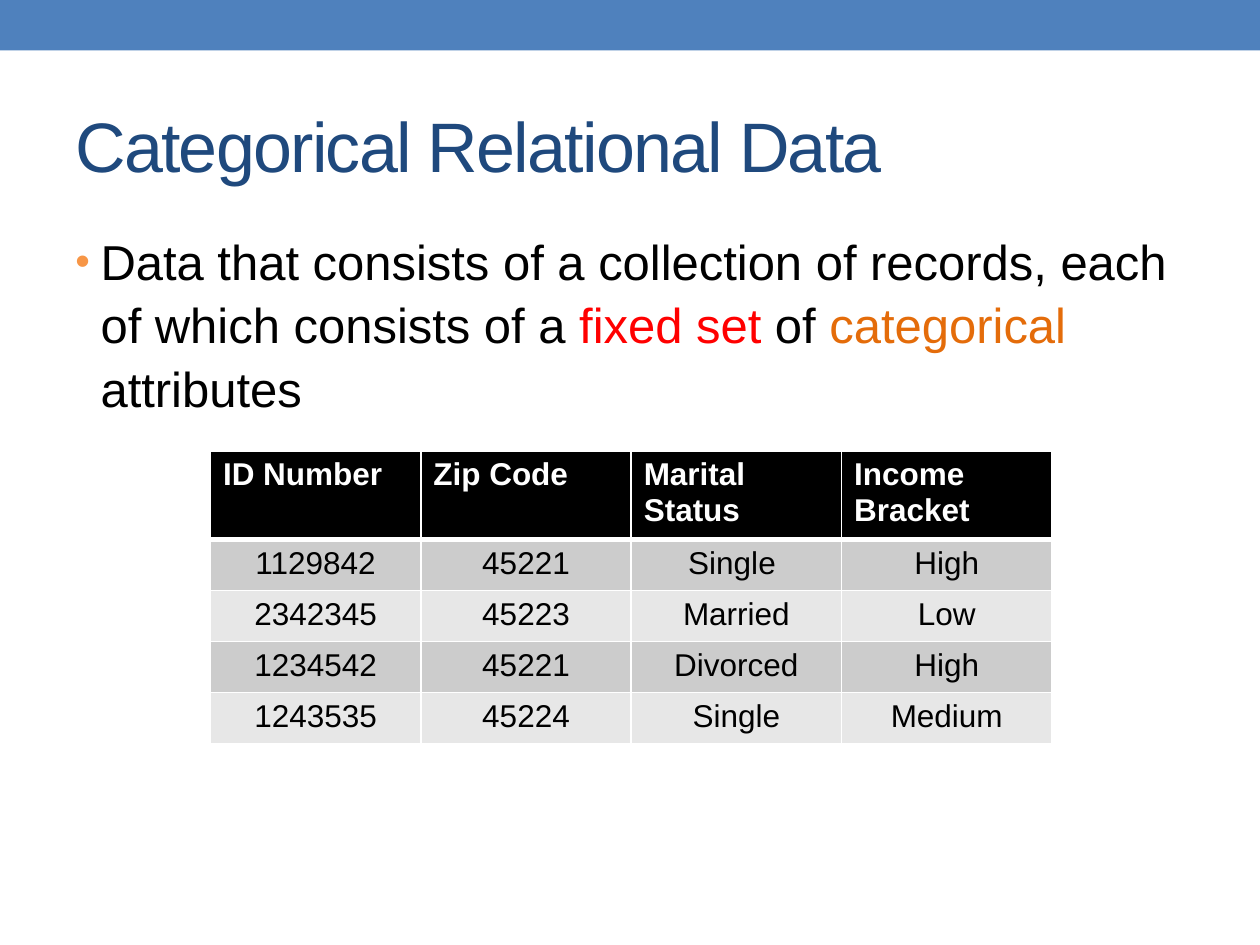
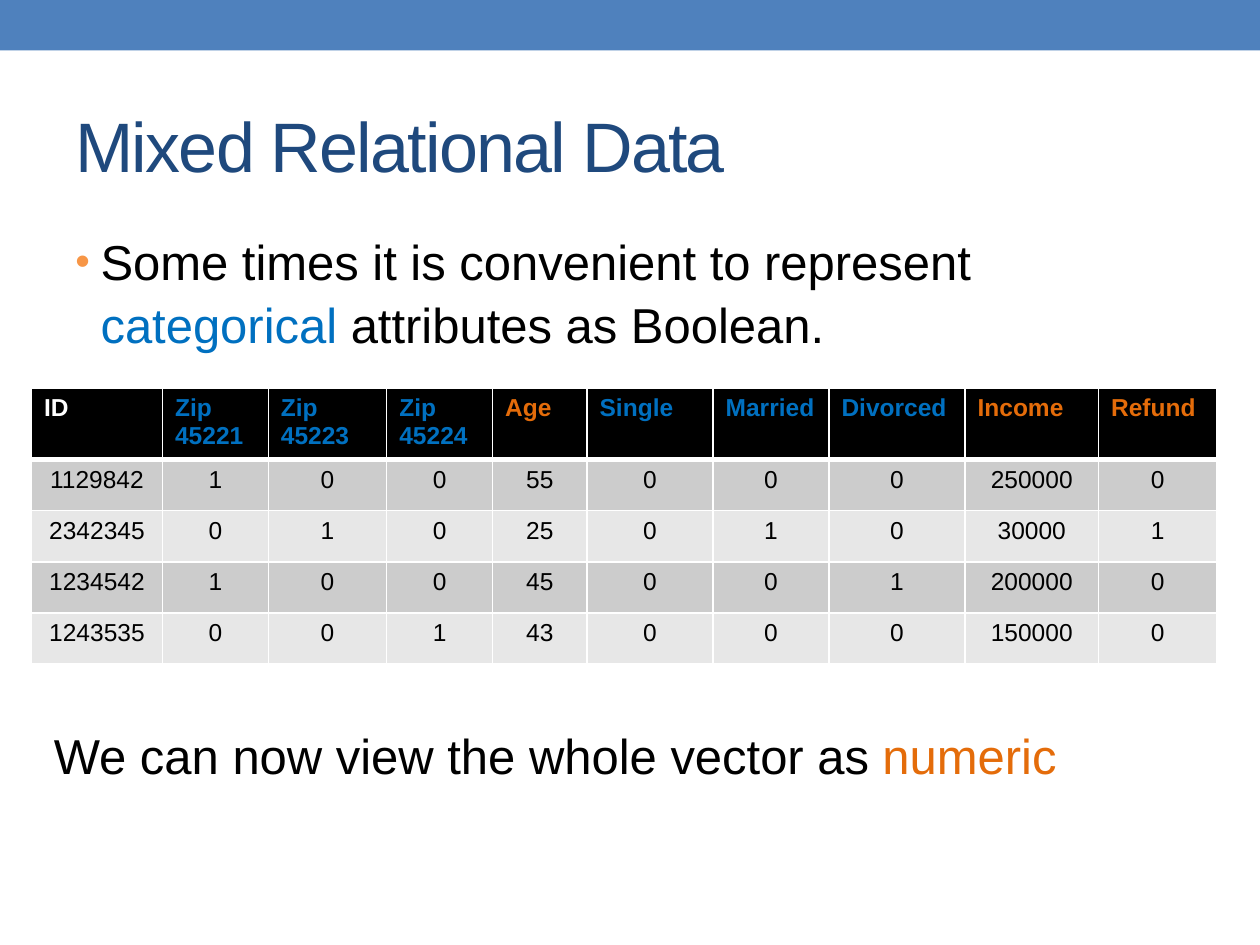
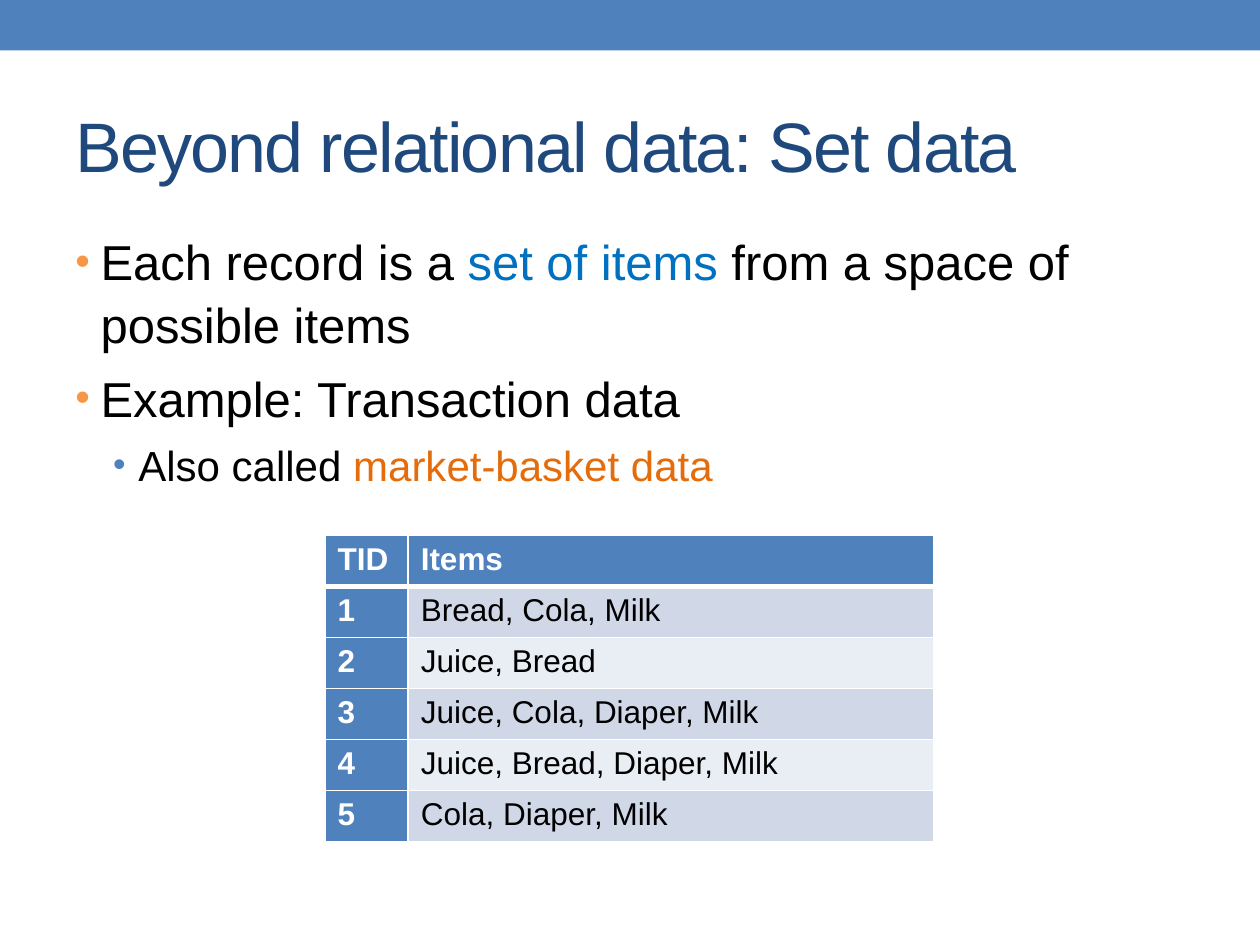
from lxml import etree
from pptx import Presentation
from pptx import util as u
from pptx.dml.color import RGBColor
from pptx.enum import shapes, text
from pptx.oxml import ns

# Shared look
FONT = "Arial"
BLACK = RGBColor(0, 0, 0)
WHITE = RGBColor(0xFF, 0xFF, 0xFF)
BLUE = RGBColor(0x4F, 0x81, 0xBD)
NAVY = RGBColor(0x1F, 0x49, 0x7D)
SKY = RGBColor(0x00, 0x70, 0xC0)
RED = RGBColor(0xFF, 0, 0)
ORANGE = RGBColor(0xE4, 0x6C, 0x0A)
LIGHT_ORANGE = RGBColor(0xF7, 0x96, 0x46)
GREY_BANDS = (RGBColor(0xCC, 0xCC, 0xCC), RGBColor(0xE7, 0xE7, 0xE7))
BLUE_BANDS = (RGBColor(0xD0, 0xD8, 0xE8), RGBColor(0xE9, 0xED, 0xF4))

LINE_SPACING = 1.08
# Per bullet level: text size, bullet colour, left indent in inches
LEVELS = ((28, LIGHT_ORANGE, 0.2), (24, BLUE, 0.5))


def add_element(parent, tag, **attributes):
    element = etree.SubElement(parent, ns.qn(tag))
    for name, value in attributes.items():
        element.set(name, str(value))
    return element


def write(paragraph, runs, size=28, color=BLACK, bold=False, align=None, tracking=None):
    """Add text to a paragraph; runs is a string or a list of (text, colour) pairs."""
    paragraph.alignment = align
    for words, run_color in [(runs, color)] if isinstance(runs, str) else runs:
        run = paragraph.add_run()
        run.text = words
        run.font.name = FONT
        run.font.size = u.Pt(size)
        run.font.bold = bold
        run.font.color.rgb = run_color
        if tracking:
            run.font._element.set("spc", str(tracking))


def add_text_frame(slide, left, top, width, height, anchor=text.MSO_ANCHOR.TOP):
    box = slide.shapes.add_textbox(*map(u.Inches, (left, top, width, height)))
    frame = box.text_frame
    frame.word_wrap = True
    frame.vertical_anchor = anchor
    frame.paragraphs[0].line_spacing = LINE_SPACING
    return frame


def add_titled_slide(presentation, title):
    slide = presentation.slides.add_slide(presentation.slide_layouts[6])
    band = slide.shapes.add_shape(shapes.MSO_SHAPE.RECTANGLE, 0, 0,
                                  presentation.slide_width, u.Inches(0.4))
    band.shadow.inherit = False
    band.fill.solid()
    band.fill.fore_color.rgb = BLUE
    band.line.fill.background()
    frame = add_text_frame(slide, 0.5, 0.58, 9, 1.08, text.MSO_ANCHOR.MIDDLE)
    write(frame.paragraphs[0], title, size=40, color=NAVY, tracking=-100)
    return slide


def add_bullets(slide, bullets):
    """Add the body text; bullets is a list of (level, runs) pairs."""
    frame = add_text_frame(slide, 0.5, 1.75, 9, 5.33)
    for index, (level, runs) in enumerate(bullets):
        size, bullet_color, indent = LEVELS[level]
        paragraph = frame.add_paragraph() if index else frame.paragraphs[0]
        paragraph.level = level
        paragraph.line_spacing = LINE_SPACING
        paragraph.space_before = u.Pt(0.2 * size if index else 0)
        properties = paragraph._p.get_or_add_pPr()
        properties.set("marL", str(u.Inches(indent)))
        properties.set("indent", str(u.Inches(-0.2)))
        add_element(add_element(properties, "a:buClr"), "a:srgbClr", val=bullet_color)
        add_element(properties, "a:buSzPct", val=85000)
        add_element(properties, "a:buFont", typeface=FONT)
        add_element(properties, "a:buChar", char="•")
        write(paragraph, runs, size=size)


def set_borders(cell, top, bottom):
    """Draw white borders; top and bottom are widths in points."""
    properties = cell._tc.get_or_add_tcPr()
    for side, width in (("L", 1), ("R", 1), ("T", top), ("B", bottom)):
        line = add_element(properties, f"a:ln{side}", w=u.Pt(width))
        add_element(add_element(line, "a:solidFill"), "a:srgbClr", val=WHITE)


def add_data_table(slide, left, top, columns, height, rows, size=18, head_fill=BLACK,
                   bands=GREY_BANDS, align=text.PP_ALIGN.CENTER, label_column=False):
    """Add a banded table; a cell is a string or a list of (text, colour) pairs."""
    frame = slide.shapes.add_table(len(rows), len(columns), *map(
        u.Inches, (left, top, sum(columns), height)))
    table = frame.table
    for column, width in zip(table.columns, columns):
        column.width = u.Inches(width)
    for row_index, row in enumerate(rows):
        for column_index, content in enumerate(row):
            cell = table.cell(row_index, column_index)
            is_head = row_index == 0
            is_strong = is_head or (label_column and column_index == 0)
            set_borders(cell, top=3 if row_index == 1 else 1, bottom=3 if is_head else 1)
            cell.fill.solid()
            cell.fill.fore_color.rgb = head_fill if is_strong else bands[(row_index - 1) % 2]
            write(cell.text_frame.paragraphs[0], content, size=size, bold=is_strong,
                  color=WHITE if is_strong else BLACK, align=None if is_head else align)


def build_categorical(presentation):
    slide = add_titled_slide(presentation, "Categorical Relational Data")
    add_bullets(slide, [(0, [
        ("Data that consists of a collection of records, each of which consists of a ", BLACK),
        ("fixed set ", RED), ("of ", BLACK), ("categorical ", ORANGE), ("attributes", BLACK)])])
    add_data_table(slide, 1.67, 3.58, [1.67] * 4, 2.03, [
        ("ID Number", "Zip Code", "Marital Status", "Income Bracket"),
        ("1129842", "45221", "Single ", "High"),
        ("2342345", "45223", "Married", "Low"),
        ("1234542", "45221", "Divorced", "High"),
        ("1243535", "45224", "Single", "Medium")])


def build_mixed(presentation):
    slide = add_titled_slide(presentation, "Mixed Relational Data")
    add_bullets(slide, [(0, [
        ("Some times it is convenient to represent ", BLACK),
        ("categorical ", SKY), ("attributes as Boolean.", BLACK)])])
    # Boolean columns have blue heads, numeric ones orange
    heads = [("ID", WHITE), ("Zip 45221", SKY), ("Zip 45223", SKY), ("Zip 45224", SKY),
             ("Age", ORANGE), ("Single", SKY), ("Married", SKY), ("Divorced", SKY),
             ("Income", ORANGE), ("Refund", ORANGE)]
    records = ["1129842 1 0 0 55 0 0 0 250000 0",
               "2342345 0 1 0 25 0 1 0 30000 1",
               "1234542 1 0 0 45 0 0 1 200000 0",
               "1243535 0 0 1 43 0 0 0 150000 0"]
    add_data_table(slide, 0.25, 3.08,
                   [1.04, 0.84, 0.94, 0.84, 0.75, 1, 0.92, 1.08, 1.06, 0.94], 2.03,
                   [[[head] for head in heads]] + [record.split() for record in records],
                   size=14)
    conclusion = add_text_frame(slide, 0.33, 5.67, 8.26, 0.57)
    write(conclusion.paragraphs[0],
          [("We can now view the whole vector as ", BLACK), ("numeric", ORANGE)])


def build_sets(presentation):
    slide = add_titled_slide(presentation, "Beyond relational data: Set data")
    add_bullets(slide, [
        (0, [("Each record is a ", BLACK), ("set of items", SKY),
             (" from a space of possible items", BLACK)]),
        (0, "Example: Transaction data"),
        (1, [("Also called ", BLACK), ("market-basket data", ORANGE)])])
    baskets = ["Bread, Cola, Milk", "Juice, Bread", "Juice, Cola, Diaper, Milk",
               "Juice, Bread, Diaper, Milk", "Cola, Diaper, Milk"]
    rows = [("TID", "Items")] + [(str(n), basket) for n, basket in enumerate(baskets, 1)]
    add_data_table(slide, 2.58, 4.25, [0.66, 4.17], 2.43, rows, head_fill=BLUE,
                   bands=BLUE_BANDS, align=None, label_column=True)


def main():
    presentation = Presentation()
    presentation.slide_width = u.Inches(10)
    presentation.slide_height = u.Inches(7.5)
    build_categorical(presentation)
    build_mixed(presentation)
    build_sets(presentation)
    presentation.save("out.pptx")


if __name__ == "__main__":
    main()
